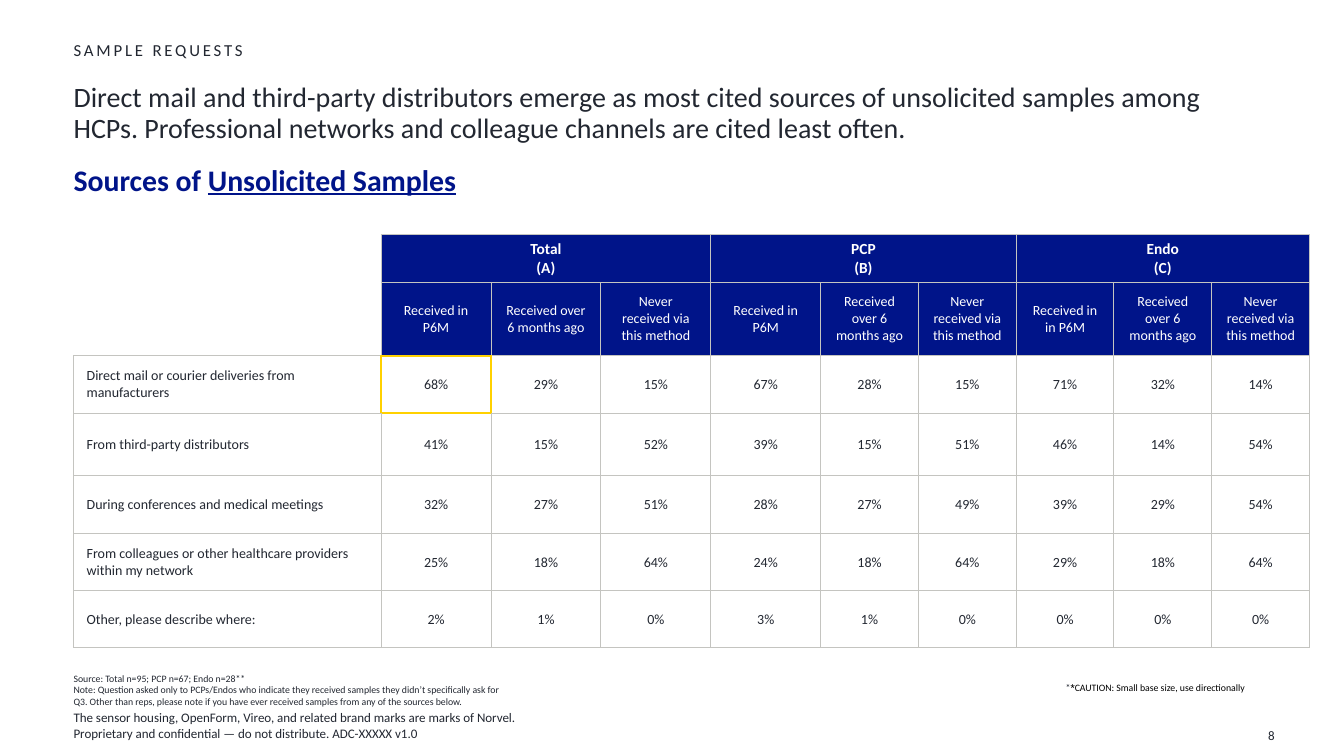
from lxml import etree
from pptx import Presentation
from pptx.dml.color import RGBColor
from pptx.enum.text import MSO_ANCHOR, PP_ALIGN
from pptx.oxml.ns import qn
from pptx.util import Inches, Pt

TOP, MIDDLE, BOTTOM = MSO_ANCHOR.TOP, MSO_ANCHOR.MIDDLE, MSO_ANCHOR.BOTTOM
LEFT, CENTER, RIGHT = PP_ALIGN.LEFT, PP_ALIGN.CENTER, PP_ALIGN.RIGHT

THEME = {
    "font": "Calibri", "alt": "Roboto",
    "ink": "222731", "navy": "001489", "white": "FFFFFF", "black": "000000",
    "grid": "C4C4C0", "gold": "FFD100",
    "kicker": 12, "title": 20, "heading": 21.3, "group": 11, "cell": 10,
    "note": 7, "footer": 9.3,
}

# Each paragraph is a list of (text, format) runs.
KICKER = [[("SAMPLE REQUESTS", {})]]
TITLE = [[("Direct mail and third-party distributors emerge as most cited sources "
           "of unsolicited samples among HCPs. Professional networks and colleague "
           "channels are cited least often.", {})]]
HEADING = [[("Sources of ", {"bold": True}),
            ("Unsolicited Samples", {"bold": True, "underline": True})]]
NOTES = [[(line, {})] for line in (
    "Source: Total n=95; PCP n=67; Endo n=28**",
    "Note: Question asked only to PCPs/Endos who indicate they received samples "
    "they didn’t specifically ask for",
    "Q3. Other than reps, please note if you have ever received samples from any "
    "of the sources below.",
)]
CAUTION = [[("*", {}),
            ("*", {"name": THEME["alt"], "color": "black"}),
            ("CAUTION: Small base size, use directionally", {"color": "black"})]]
FOOTER = [[(line, {})] for line in (
    "The sensor housing, OpenForm, Vireo, and related brand marks are marks of Norvel.",
    "Proprietary and confidential — do not distribute. ADC-XXXXX v1.0",
)]
PAGE = [[("8", {})]]

GROUPS = [("Total", "(A)"), ("PCP", "(B)"), ("Endo", "(C)")]
OVER, NEVER = "Received over 6 months ago", "Never received via this method"
HEADS = ["Received in P6M", OVER, NEVER] * 2 + ["Received in in P6M", OVER, NEVER]
ROWS = [
    ("Direct mail or courier deliveries from manufacturers",
     (68, 29, 15, 67, 28, 15, 71, 32, 14)),
    ("From third-party distributors", (41, 15, 52, 39, 15, 51, 46, 14, 54)),
    ("During conferences and medical meetings",
     (32, 27, 51, 28, 27, 49, 39, 29, 54)),
    ("From colleagues or other healthcare providers within my network",
     (25, 18, 64, 24, 18, 64, 29, 18, 64)),
    ("Other, please describe where:", (2, 1, 0, 3, 1, 0, 0, 0, 0)),
]
WIDTHS = [3.05] + [1.09] * 4 + [0.97] * 5
HEIGHTS = [0.47, 0.73, 0.57, 0.62, 0.57, 0.57, 0.57]
MARKED = (2, 1)  # row and column of the cell framed in gold
SIDES = {"L": (0, -1), "R": (0, 1), "T": (-1, 0), "B": (1, 0)}

EDGE = 0.73
BODY = (0, 0, 0.1, 0.05)
FLAT = (0, 0, 0, 0)
BOXES = [
    (KICKER, (EDGE, 0.39, 7.64, 0.38), "kicker", {"pad": BODY, "track": 2}),
    (TITLE, (EDGE, 0.83, 11.87, 0.57), "title", {"pad": BODY, "pitch": 0.9}),
    (HEADING, (EDGE, 1.6, 11.87, 0.4), "heading", {"pad": BODY, "color": "navy"}),
    (NOTES, (EDGE, 6.66, 7.32, 0.36), "note", {"pad": FLAT, "anchor": BOTTOM}),
    (CAUTION, (10.57, 6.71, 2.88, 0.35), "note", {"pad": (0, 0.05, 0.1, 0.05)}),
    (FOOTER, (EDGE, 6.94, 5.56, 0.41), "footer", {"pad": FLAT, "anchor": BOTTOM}),
    (PAGE, (12.13, 7.02, 0.61, 0.4), "footer",
     {"pad": (0, 0.05, 0.1, 0.05), "anchor": BOTTOM, "align": RIGHT}),
]


def rgb(name):
    return RGBColor.from_string(THEME[name])


def inset(target, pad):
    for side, size in zip(("left", "top", "right", "bottom"), pad):
        setattr(target, "margin_" + side, Inches(size))


def write(frame, paras, size, color="ink", align=LEFT, pitch=None, track=0):
    """Fill a text frame with paragraphs of formatted runs."""
    for i, runs in enumerate(paras):
        para = frame.paragraphs[0] if i == 0 else frame.add_paragraph()
        para.alignment = align
        if pitch:
            para.line_spacing = pitch
        for text, fmt in runs:
            run = para.add_run()
            run.text = text
            look = {"name": THEME["font"], "size": Pt(THEME[size]), **fmt}
            run.font.color.rgb = rgb(look.pop("color", color))
            for key, value in look.items():
                setattr(run.font, key, value)
            if track:
                run.font._element.set("spc", str(track * 100))


def add_box(slide, paras, spot, size, pad, anchor=TOP, **style):
    frame = slide.shapes.add_textbox(*map(Inches, spot)).text_frame
    frame.word_wrap = True
    frame.vertical_anchor = anchor
    inset(frame, pad)
    write(frame, paras, size, **style)


def is_blank(row, col):
    return row < 2 and col < 1


def add_edges(cell, row, col):
    """Draw the cell's borders; the empty corner shows none of its own."""
    props = cell._tc.get_or_add_tcPr()
    for side, (down, over) in SIDES.items():
        near = (row + down, col + over)
        gold = MARKED in ((row, col), near)
        line = etree.SubElement(props, qn("a:ln" + side),
                                w=str(Pt(1.5 if gold else 0.75)))
        if is_blank(row, col) and (is_blank(*near) or min(near) < 0):
            etree.SubElement(line, qn("a:noFill"))
            continue
        fill = etree.SubElement(line, qn("a:solidFill"))
        etree.SubElement(fill, qn("a:srgbClr"),
                         val=THEME["gold" if gold else "grid"])


def add_grid(slide):
    shape = slide.shapes.add_table(
        len(HEIGHTS), len(WIDTHS), Inches(EDGE), Inches(2.33),
        Inches(sum(WIDTHS)), Inches(sum(HEIGHTS)))
    table = shape.table
    table.first_row = table.horz_banding = False
    for col, width in zip(table.columns, WIDTHS):
        col.width = Inches(width)
    for row, height in zip(table.rows, HEIGHTS):
        row.height = Inches(height)

    for r in range(len(HEIGHTS)):
        for c in range(len(WIDTHS)):
            cell = table.cell(r, c)
            add_edges(cell, r, c)
            cell.vertical_anchor = MIDDLE
            value = r > 1 and c > 0
            inset(cell, (0.01, 0.01, 0.01, 0) if value else (0.13, 0.05, 0.13, 0.05))
            if r < 2 and c > 0:
                cell.fill.solid()
                cell.fill.fore_color.rgb = rgb("navy")
            else:
                cell.fill.background()

    for i, lines in enumerate(GROUPS):
        first = 1 + 3 * i
        cell = table.cell(0, first)
        cell.merge(table.cell(0, first + 2))
        write(cell.text_frame, [[(line, {"bold": True})] for line in lines],
              "group", "white", CENTER)
    for c, head in enumerate(HEADS, 1):
        write(table.cell(1, c).text_frame, [[(head, {})]], "cell", "white", CENTER)
    for r, (label, values) in enumerate(ROWS, 2):
        write(table.cell(r, 0).text_frame, [[(label, {})]], "cell")
        for c, value in enumerate(values, 1):
            write(table.cell(r, c).text_frame, [[(f"{value}%", {})]],
                  "cell", align=CENTER)


def main():
    deck = Presentation()
    deck.slide_width, deck.slide_height = Inches(13.33), Inches(7.5)
    slide = deck.slides.add_slide(deck.slide_layouts[6])
    for paras, spot, size, style in BOXES:
        add_box(slide, paras, spot, size, **style)
    add_grid(slide)
    deck.save("out.pptx")


if __name__ == "__main__":
    main()
